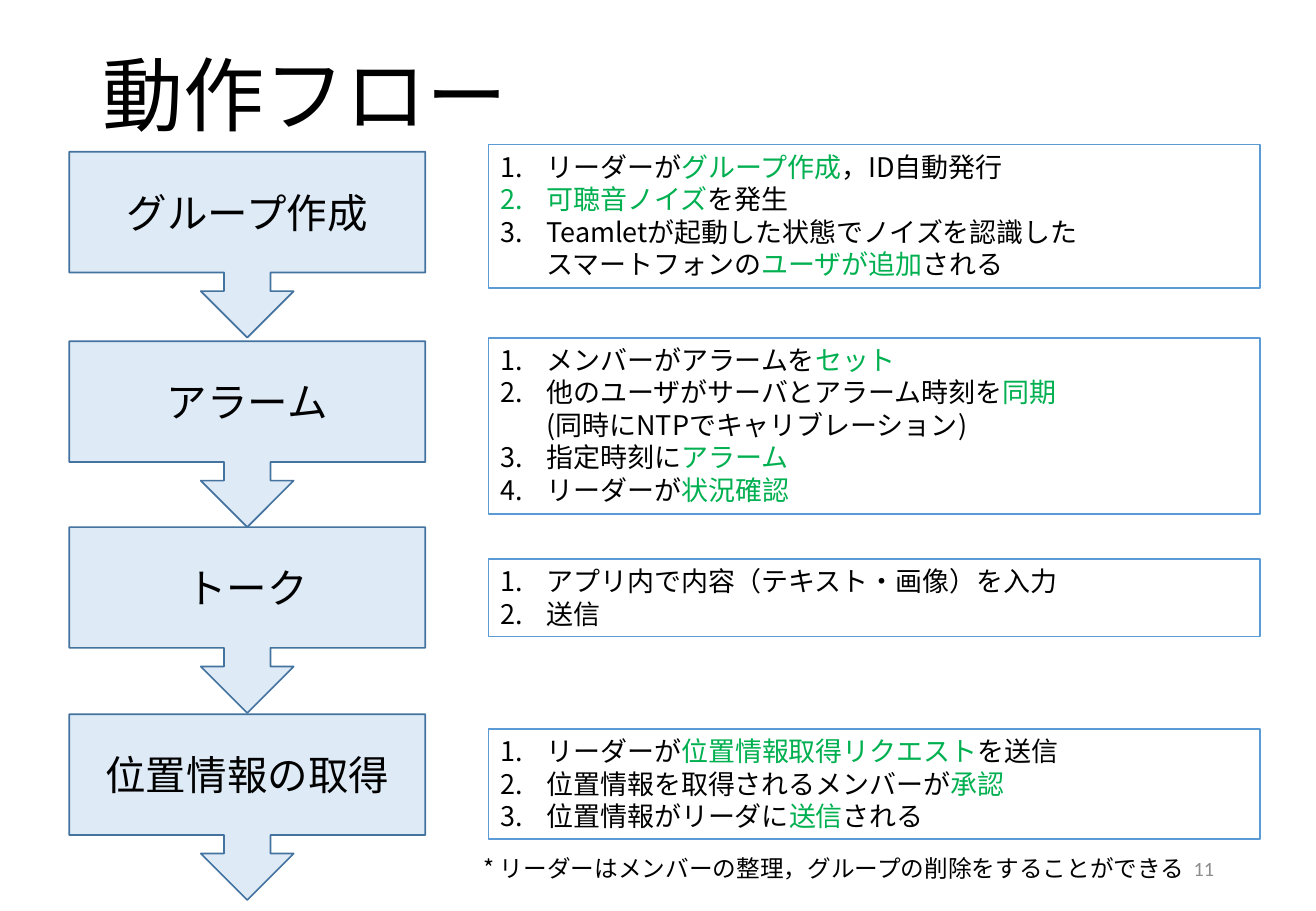
"""Builds the operation-flow slide: four steps, each with its numbered details."""
from copy import deepcopy
from dataclasses import dataclass

from lxml import etree
from pptx import Presentation
from pptx.dml.color import RGBColor
from pptx.enum import shapes, text
from pptx.oxml import ns
from pptx.util import Inches, Pt


@dataclass(frozen=True)
class Theme:
    """Colours, type sizes and fonts of the slide."""
    ink: str = "000000"
    accent: str = "00B050"
    muted: str = "8C8C8C"
    step_fill: str = "DEEBF7"
    step_line: str = "43739E"
    paper: str = "FFFFFF"
    detail_line: str = "5B9BD5"
    title: int = 48
    step: int = 24
    detail: int = 16
    note: int = 14
    number: int = 12
    font: str = "Noto Sans CJK JP"
    number_font: str = "Calibri"


T = Theme()

# Step name, top of its arrow box, top and height of its details, details.
# Text between bars is shown in the accent colour.
FLOW = [
    ("グループ作成", 1.25, 1.19, 1.18, [
        "リーダーが|グループ作成|，ID自動発行",
        "|可聴音ノイズ|を発生",
        "Teamletが起動した状態でノイズを認識した\nスマートフォンの|ユーザが追加|される"]),
    ("アラーム", 2.81, 2.78, 1.45, [
        "メンバーがアラームを|セット",
        "他のユーザがサーバとアラーム時刻を|同期|\n(同時にNTPでキャリブレーション)",
        "指定時刻に|アラーム",
        "リーダーが|状況確認"]),
    ("トーク", 4.34, 4.6, 0.64, [
        "アプリ内で内容（テキスト・画像）を入力",
        "送信"]),
    ("位置情報の取得", 5.88, 6, 0.91, [
        "リーダーが|位置情報取得リクエスト|を送信",
        "位置情報を取得されるメンバーが|承認",
        "位置情報がリーダに|送信|される"]),
]


def add_run(p, content, size, color, font):
    """Append one formatted run to a paragraph and return it."""
    r = p.add_run()
    r.text = content
    r.font.size = Pt(size)
    r.font.color.rgb = RGBColor.from_string(color)
    r.font.name = font
    etree.SubElement(r._r.get_or_add_rPr(), ns.qn("a:ea"), typeface=font)
    return r


def number_paragraph(p):
    """Give a paragraph a hanging automatic number."""
    pPr = p._p.get_or_add_pPr()
    pPr.set("marL", str(Inches(0.38)))
    pPr.set("indent", str(Inches(-0.38)))
    etree.SubElement(pPr, ns.qn("a:buFont"), typeface="+mj-lt")
    etree.SubElement(pPr, ns.qn("a:buAutoNum"), type="arabicPeriod")


def write(sp, lines, size, color=T.ink, font=T.font, align=text.PP_ALIGN.LEFT,
          anchor=text.MSO_ANCHOR.TOP, numbered=False, spacing=None, grow=False):
    """Write paragraphs into a shape, with barred parts in the accent colour."""
    tf = sp.text_frame
    tf.word_wrap = True
    tf.vertical_anchor = anchor
    fit = text.MSO_AUTO_SIZE
    tf.auto_size = fit.SHAPE_TO_FIT_TEXT if grow else fit.NONE
    for i, line in enumerate(lines):
        p = tf.add_paragraph() if i else tf.paragraphs[0]
        p.alignment = align
        if spacing:
            p.line_spacing = spacing
        if numbered:
            number_paragraph(p)
        r = None
        for j, part in enumerate(line.split("|")):
            for k, piece in enumerate(part.split("\n")):
                if k:
                    p.add_line_break()
                    p._p[-1].append(deepcopy(r._r.rPr))
                if piece:
                    r = add_run(p, piece, size, T.accent if j % 2 else color, font)


def add_box(s, kind, at, fill, line):
    """Add a flat preset shape with a fill and a thin outline."""
    sp = s.shapes.add_shape(kind, *map(Inches, at))
    sp.shadow.inherit = False
    sp.fill.solid()
    sp.fill.fore_color.rgb = RGBColor.from_string(fill)
    sp.line.color.rgb = RGBColor.from_string(line)
    sp.line.width = Pt(1)
    return sp


def add_title(s, content):
    """Place and format the title placeholder."""
    sp = s.shapes.title
    sp.left, sp.top, sp.width, sp.height = map(Inches, (0.74, 0.31, 9.34, 1.01))
    write(sp, [content], T.title, anchor=text.MSO_ANCHOR.MIDDLE, spacing=0.9)


def add_step(s, name, top):
    """Add one step of the flow as a down-arrow callout."""
    sp = add_box(s, shapes.MSO_SHAPE.DOWN_ARROW_CALLOUT,
                 (0.57, top, 2.93, 1.53), T.step_fill, T.step_line)
    write(sp, [name], T.step, align=text.PP_ALIGN.CENTER,
          anchor=text.MSO_ANCHOR.MIDDLE)


def add_details(s, top, height, items):
    """Add the numbered details that belong to a step."""
    sp = add_box(s, shapes.MSO_SHAPE.RECTANGLE,
                 (4.02, top, 6.35, height), T.paper, T.detail_line)
    write(sp, items, T.detail, numbered=True, grow=True)


def add_label(s, content, at, size, **fmt):
    """Add a one-line text box."""
    write(s.shapes.add_textbox(*map(Inches, at)), [content], size, **fmt)


def main():
    """Build and save the slide."""
    prs = Presentation()
    prs.slide_width, prs.slide_height = Inches(10.83), Inches(7.5)
    s = prs.slides.add_slide(prs.slide_layouts.get_by_name("Title Only"))
    add_title(s, "動作フロー")
    add_label(s, "11", (7.65, 6.95, 2.44, 0.4), T.number, color=T.muted,
              font=T.number_font, align=text.PP_ALIGN.RIGHT,
              anchor=text.MSO_ANCHOR.MIDDLE)
    for name, step_top, top, height, items in FLOW:
        add_step(s, name, step_top)
        add_details(s, top, height, items)
    add_label(s, "* リーダーはメンバーの整理，グループの削除をすることができる",
              (3.88, 6.98, 6.3, 0.34), T.note, grow=True)
    prs.save("out.pptx")


if __name__ == "__main__":
    main()
